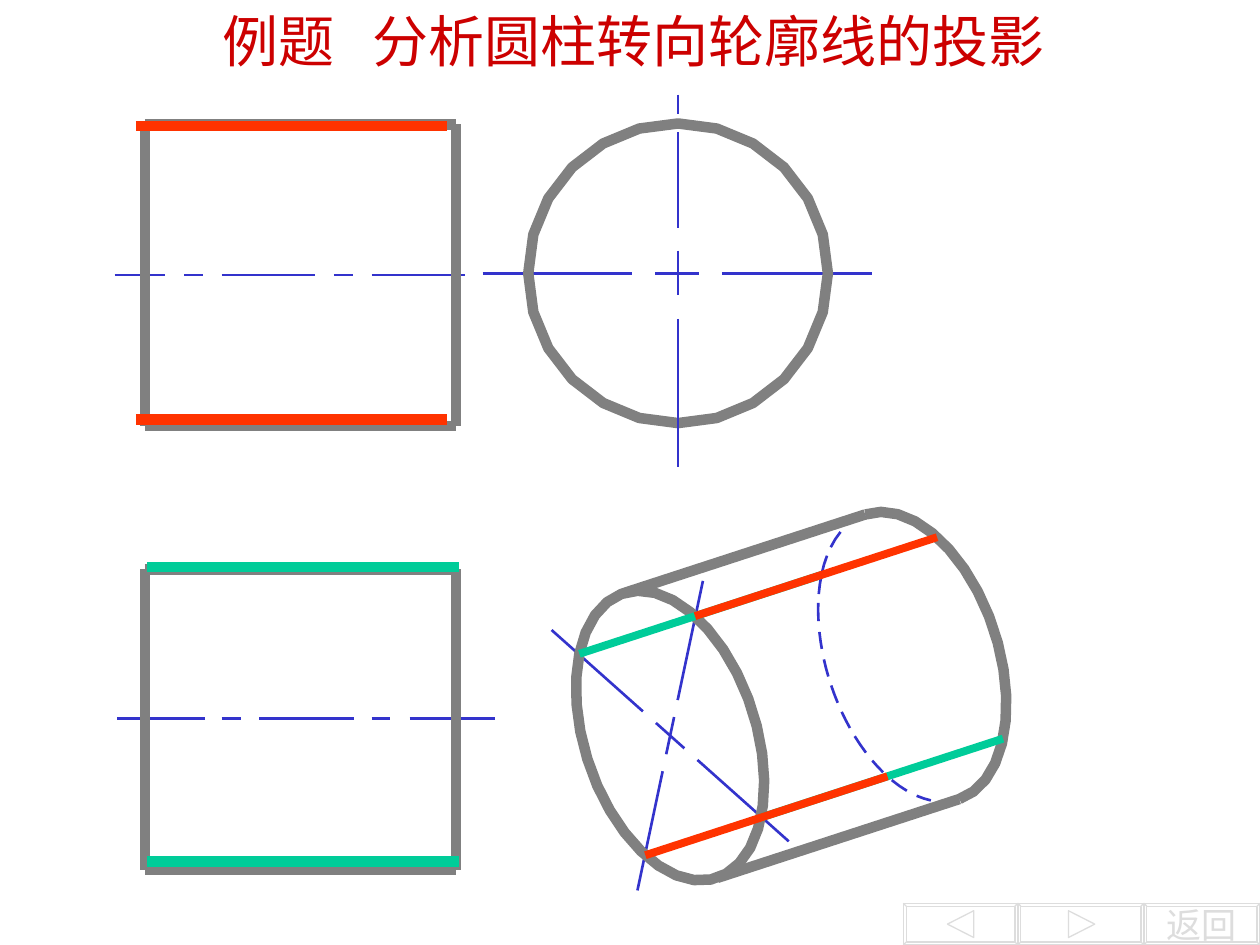
import math
import pptx
import pptx.util
import pptx.dml.color
import pptx.enum.shapes
import pptx.enum.text
import pptx.oxml.ns
from lxml import etree

Cm, Pt = pptx.util.Cm, pptx.util.Pt
SHAPES = pptx.enum.shapes.MSO_SHAPE
MIDDLE = pptx.enum.text.MSO_ANCHOR.MIDDLE
ALIGN = pptx.enum.text.PP_ALIGN

THEME = {
    "font": "Noto Sans CJK SC", "title_size": 32, "button_size": 20,
    "title": "CC0000", "outline": "808080", "axis": "3333CC",
    "green": "00CC99", "red": "FF3300", "button": "DDDDDD",
    "bold_line": 6, "generator_line": 4.5, "axis_line": 1.5, "button_line": 0.75,
}

# All lengths below are in centimetres.
TITLE = "例题\t分析圆柱转向轮廓线的投影"
TITLE_BOX, TITLE_TAB = (4.24, 0, 18.21, 1.63), 3.02

VIEW_LEFT, VIEW_RIGHT = 2.92, 9.19
VIEWS = [(2.51, 8.59), (11.48, 17.53)]
HORIZONTAL_AXES = {
    5.54: [(2.31, 3.33), (3.71, 4.09), (4.47, 6.35), (6.73, 7.11), (7.49, 9.37)],
    14.48: [(2.36, 4.14), (4.47, 4.85), (5.23, 7.14), (7.49, 7.87), (8.26, 9.98)],
    5.51: [(9.73, 12.75), (13.21, 14.1), (14.55, 17.58)],
}
VERTICAL_AXIS = [(1.91, 2.29), (2.67, 4.6), (5.05, 5.94), (6.43, 9.42)]
CIRCLE_CENTRE, CIRCLE_RADIUS, CIRCLE_SIDES = (13.67, 5.51), 3.02, 24

# The cylinder's front rim is spanned by two conjugate radii and counted in steps.
RIM_CENTRE, RIM_U, RIM_V, RIM_STEPS = (13.51, 14.83), (-1.83, -1.65), (-0.5, 2.41), 33
DEPTH = (4.88, -1.59)
CONTOUR_STEPS = (12.4, 28.9)
HIDDEN_DASHES = [
    (28.9, 30.05), (30.7, 31.65), (32.1, 33), (33, 33.8), (34.15, 34.85),
    (35.25, 35.87), (36.25, 36.87), (37.2, 37.85), (38.2, 38.85), (39.2, 39.95),
    (40.35, 41), (41.5, 42.35), (42.9, 43.7), (44.2, 45.4),
]
RIM_AXES = [(2.39, 2.13), (-0.66, 3.12)]
RIM_AXIS_DASHES = [(-1, -0.23), (-0.12, 0.12), (0.23, 1)]

CONTOURS = [
    {"colour": "green", "span": (2.97, 9.25), "levels": (17.37, 11.43), "steps": (16.5, 0)},
    {"colour": "red", "span": (2.74, 9.02), "levels": (2.54, 8.46), "steps": (24.75, 8.25)},
]

BUTTON_TOP, BUTTON_HEIGHT, BEVEL = 18.21, 0.84, 0.07
BUTTONS = [
    {"left": 23.06, "width": 2.34, "label": "返回"},
    {"left": 20.52, "width": 2.54, "points": [(21.54, 18.36), (22.07, 18.63), (21.54, 18.9)]},
    {"left": 18.21, "width": 2.31, "points": [(19.1, 18.63), (19.63, 18.36), (19.63, 18.9)]},
]


def rgb(colour):
    return pptx.dml.color.RGBColor.from_string(THEME[colour])


def style_line(line, colour, width):
    line.color.rgb = rgb(colour)
    line.width = Pt(THEME[width])


def add_line(slide, start, end, colour, width):
    segment = slide.shapes.add_connector(
        pptx.enum.shapes.MSO_CONNECTOR.STRAIGHT, *map(Cm, (*start, *end)))
    style_line(segment.line, colour, width)
    properties = segment._element.spPr
    etree.SubElement(properties, pptx.oxml.ns.qn("a:effectLst"))


def add_outline(slide, points, colour, width, close=False):
    corners = [(Cm(x), Cm(y)) for x, y in points]
    builder = slide.shapes.build_freeform(*corners[0])
    builder.add_line_segments(corners[1:], close=close)
    outline = builder.convert_to_shape()
    outline.shadow.inherit = False
    outline.fill.background()
    style_line(outline.line, colour, width)


def shift(point, vector, factor=1):
    return tuple(p + factor * v for p, v in zip(point, vector))


def rim(step):
    angle = 2 * math.pi * step / RIM_STEPS
    return shift(shift(RIM_CENTRE, RIM_U, math.cos(angle)), RIM_V, math.sin(angle))


def rear_arc(first, last, pieces):
    steps = [first + (last - first) * i / pieces for i in range(pieces + 1)]
    return [shift(rim(step), DEPTH) for step in steps]


def write(frame, text, size, colour, align):
    format_values = {"margin_top": 0, "margin_bottom": 0, "margin_left": Cm(0.25),
                     "margin_right": Cm(0.25), "vertical_anchor": MIDDLE,
                     "word_wrap": True,
                     "auto_size": pptx.enum.text.MSO_AUTO_SIZE.NONE}
    for name, value in format_values.items():
        setattr(frame, name, value)
    paragraph = frame.paragraphs[0]
    paragraph.alignment = align
    run = paragraph.add_run()
    run.text = text
    for name, value in {"size": Pt(THEME[size]), "name": THEME["font"], "bold": False}.items():
        setattr(run.font, name, value)
    run.font.color.rgb = rgb(colour)
    east_asian = etree.SubElement(run.font._element, pptx.oxml.ns.qn("a:ea"))
    east_asian.set("typeface", THEME["font"])
    return paragraph


def add_title(slide):
    title = slide.shapes.title
    for name, value in zip(("left", "top", "width", "height"), TITLE_BOX):
        setattr(title, name, Cm(value))
    paragraph = write(title.text_frame, TITLE, "title_size", "title", ALIGN.LEFT)
    tabs = etree.SubElement(paragraph._p.get_or_add_pPr(), pptx.oxml.ns.qn("a:tabLst"))
    etree.SubElement(tabs, pptx.oxml.ns.qn("a:tab"), pos=str(Cm(TITLE_TAB)), algn="l")


def add_views(slide):
    for y, dashes in HORIZONTAL_AXES.items():
        for start, end in dashes:
            add_line(slide, (start, y), (end, y), "axis", "axis_line")
    for top, bottom in VIEWS:
        for y in (top, bottom):
            add_line(slide, (VIEW_LEFT, y), (VIEW_RIGHT, y), "outline", "bold_line")
        for x in (VIEW_LEFT, VIEW_RIGHT):
            add_line(slide, (x, top), (x, bottom), "outline", "bold_line")
    turns = [2 * math.pi * i / CIRCLE_SIDES for i in range(CIRCLE_SIDES)]
    circle = [shift(CIRCLE_CENTRE, (math.sin(t), -math.cos(t)), CIRCLE_RADIUS) for t in turns]
    add_outline(slide, circle, "outline", "bold_line", close=True)
    for start, end in VERTICAL_AXIS:
        x = CIRCLE_CENTRE[0]
        add_line(slide, (x, start), (x, end), "axis", "axis_line")


def add_cylinder(slide):
    for first, last in HIDDEN_DASHES:
        add_outline(slide, rear_arc(first, last, 2), "axis", "axis_line")
    for half_axis in RIM_AXES:
        for start, end in RIM_AXIS_DASHES:
            add_line(slide, shift(RIM_CENTRE, half_axis, start),
                     shift(RIM_CENTRE, half_axis, end), "axis", "axis_line")
    add_outline(slide, rear_arc(*CONTOUR_STEPS, 17), "outline", "bold_line")
    add_outline(slide, [rim(i) for i in range(RIM_STEPS)], "outline", "bold_line", close=True)
    for step in CONTOUR_STEPS:
        add_line(slide, rim(step), shift(rim(step), DEPTH), "outline", "bold_line")


def add_contours(slide):
    for contour in CONTOURS:
        left, right = contour["span"]
        for y in contour["levels"]:
            add_line(slide, (left, y), (right, y), contour["colour"], "bold_line")
        for step in contour["steps"]:
            add_line(slide, rim(step), shift(rim(step), DEPTH),
                     contour["colour"], "generator_line")


def add_buttons(slide):
    for button in BUTTONS:
        frame = slide.shapes.add_shape(SHAPES.BEVEL, *map(
            Cm, (button["left"], BUTTON_TOP, button["width"], BUTTON_HEIGHT)))
        frame.adjustments[0] = BEVEL
        frame.shadow.inherit = False
        frame.fill.background()
        style_line(frame.line, "button", "button_line")
        if "label" in button:
            write(frame.text_frame, button["label"], "button_size", "button", ALIGN.CENTER)
        else:
            add_outline(slide, button["points"], "button", "button_line", close=True)


def main():
    deck = pptx.Presentation()
    deck.slide_width, deck.slide_height = Cm(25.4), Cm(19.05)
    slide = deck.slides.add_slide(deck.slide_layouts.get_by_name("Title Only"))
    for add_part in (add_views, add_cylinder, add_contours, add_title, add_buttons):
        add_part(slide)
    deck.save("out.pptx")


if __name__ == "__main__":
    main()
